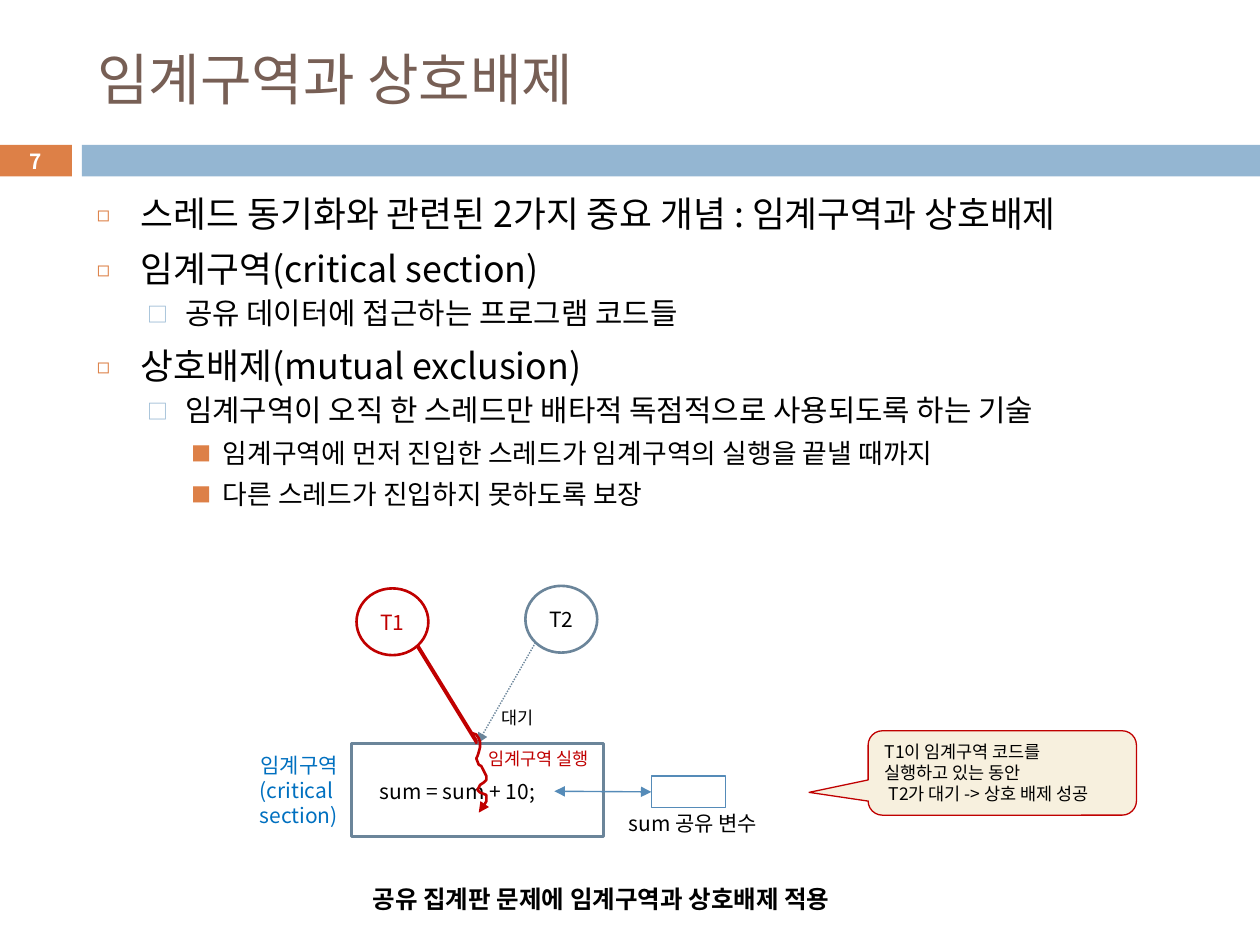
from lxml import etree
from pptx import Presentation
from pptx import util as u
from pptx.dml.color import RGBColor
from pptx.enum import dml, shapes, text
from pptx.oxml.ns import qn

FONT = "Noto Sans CJK KR"
BLACK, WHITE = RGBColor(0, 0, 0), RGBColor(255, 255, 255)
BROWN, ORANGE = RGBColor(0x77, 0x5F, 0x55), RGBColor(0xDD, 0x80, 0x47)
SKY, SLATE = RGBColor(0x94, 0xB6, 0xD2), RGBColor(0x6B, 0x85, 0x9A)
BLUE, LABEL = RGBColor(0x55, 0x8B, 0xB8), RGBColor(0x00, 0x70, 0xC0)
RED, CREAM = RGBColor(0xC0, 0, 0), RGBColor(0xF7, 0xF0, 0xDE)

# Content
TITLE = "임계구역과 상호배제"
BULLETS = [  # level, text
    (0, "스레드 동기화와 관련된 2가지 중요 개념 : 임계구역과 상호배제"),
    (0, "임계구역(critical section)"),
    (1, "공유 데이터에 접근하는 프로그램 코드들"),
    (0, "상호배제(mutual exclusion)"),
    (1, "임계구역이 오직 한 스레드만 배타적 독점적으로 사용되도록 하는 기술"),
    (2, "임계구역에 먼저 진입한 스레드가 임계구역의 실행을 끝낼 때까지"),
    (2, "다른 스레드가 진입하지 못하도록 보장"),
]
LEVELS = [  # size, indent, hanging, space before, line spacing, bullet, colour, percent
    (20.4, 0.35, 0.35, 7, 1.0, "◻", ORANGE, 60),
    (17, 0.7, 0.3, 5.5, 0.9, "□", SKY, 70),
    (15.3, 1.0, 0.25, 5, 1.0, "■", ORANGE, 75),
]
LEFT, CENTER, RIGHT = text.PP_ALIGN.LEFT, text.PP_ALIGN.CENTER, text.PP_ALIGN.RIGHT
LABELS = [  # position, lines, size, colour, alignment, bold
    ((1.9, 5.92, 0.88, 0.71), ["임계구역", "(critical ", "section)"], 12, LABEL, RIGHT, False),
    ((4.89, 6.38, 1.31, 0.3), ["sum 공유 변수"], 12, BLACK, LEFT, False),
    ((3.87, 5.56, 0.48, 0.27), ["대기"], 10, BLACK, CENTER, False),
    ((3.73, 5.89, 1.09, 0.27), ["임계구역 실행"], 10, RED, CENTER, False),
    ((2.86, 6.97, 4.27, 0.34), ["공유 집계판 문제에 임계구역과 상호배제 적용"], 14, BLACK, LEFT, True),
]
THREADS = [  # position, name, outline, text colour
    ((2.83, 4.67, 0.57, 0.53), "T1", RED, RED),
    ((4.17, 4.65, 0.57, 0.53), "T2", SLATE, BLACK),
]
CALLOUT = ["T1이 임계구역 코드를", "실행하고 있는 동안", " T2가 대기 -> 상호 배제 성공"]
SQUIGGLE = [(3.75, 5.82), (3.78, 5.83), (3.8, 5.86), (3.81, 5.89), (3.81, 5.93), (3.8, 5.97),
            (3.79, 6), (3.78, 6.02), (3.8, 6.07), (3.82, 6.08), (3.84, 6.12), (3.86, 6.16),
            (3.86, 6.19), (3.84, 6.21), (3.81, 6.23), (3.79, 6.27), (3.81, 6.29),
            (3.86, 6.31), (3.86, 6.36), (3.83, 6.41), (3.8, 6.45)]


def inches(*values):
    return [u.Inches(v) for v in values]


def style(p, size, color, bold=False):
    for r in p.runs:
        for key, value in {"name": FONT, "size": u.Pt(size), "bold": bold}.items():
            setattr(r.font, key, value)
        r.font.color.rgb = color
        etree.SubElement(r.font._element, qn("a:ea"), typeface=FONT)


def write(tf, lines, size, color, align=LEFT, bold=False):
    for i, line in enumerate(lines):
        p = tf.paragraphs[0] if i == 0 else tf.add_paragraph()
        p.text, p.alignment = line, align
        style(p, size, color, bold)


def paint(sp, fill=None, line=None, width=1.0):
    sp.shadow.inherit = False
    if fill is None:
        sp.fill.background()
    else:
        sp.fill.solid()
        sp.fill.fore_color.rgb = fill
    if line is None:
        sp.line.fill.background()
    else:
        sp.line.color.rgb, sp.line.width = line, u.Pt(width)


def shape(kind, at, **look):
    sp = s.shapes.add_shape(kind, *inches(*at))
    paint(sp, **look)
    return sp


def label(at, lines, *look):
    sp = s.shapes.add_textbox(*inches(*at))
    sp.text_frame.word_wrap = False
    sp.text_frame.auto_size = text.MSO_AUTO_SIZE.SHAPE_TO_FIT_TEXT
    write(sp.text_frame, lines, *look)
    return sp


def arrowheads(sp, *ends):
    ln = sp.line._get_or_add_ln()
    for end in ends:
        etree.SubElement(ln, qn(f"a:{end}"), type="triangle")


def connector(start, end, color, width):
    c = s.shapes.add_connector(shapes.MSO_CONNECTOR.STRAIGHT, *inches(*start, *end))
    c.line.color.rgb, c.line.width = color, u.Pt(width)
    etree.SubElement(c._element.spPr, qn("a:effectLst"))
    return c


def bullet(p, char, color, percent):
    pPr = p._p.get_or_add_pPr()
    clr = etree.SubElement(pPr, qn("a:buClr"))
    etree.SubElement(clr, qn("a:srgbClr"), val=str(color))
    etree.SubElement(pPr, qn("a:buSzPct"), val=str(percent * 1000))
    etree.SubElement(pPr, qn("a:buFont"), typeface=FONT)
    etree.SubElement(pPr, qn("a:buChar"), char=char)
    return pPr


prs = Presentation()
prs.slide_width, prs.slide_height = inches(10, 7.5)
s = prs.slides.add_slide(prs.slide_layouts[5])
KIND = shapes.MSO_SHAPE

# Title and band
title = s.shapes.title
title.left, title.top, title.width, title.height = inches(0.67, 0.25, 8.92, 0.74)
tf = title.text_frame
tf.auto_size, tf.vertical_anchor = text.MSO_AUTO_SIZE.NONE, text.MSO_ANCHOR.MIDDLE
write(tf, [TITLE], 32, BROWN)
number = shape(KIND.RECTANGLE, (-0.01, 1.15, 0.58, 0.25), fill=ORANGE)
write(number.text_frame, ["7"], 11.9, WHITE, CENTER, True)
shape(KIND.RECTANGLE, (0.65, 1.15, 9.35, 0.25), fill=SKY)

# Bullet list
tf = s.shapes.add_textbox(*inches(0.67, 1.47, 8.92, 2.85)).text_frame
tf.word_wrap = True
for i, (level, line) in enumerate(BULLETS):
    size, indent, hang, before, spacing, char, color, percent = LEVELS[level]
    p = tf.paragraphs[0] if i == 0 else tf.add_paragraph()
    p.text, p.level, p.line_spacing = line, level, spacing
    p.space_before = u.Pt(before if i else 0)
    pPr = bullet(p, char, color, percent)
    pPr.set("marL", str(u.Inches(indent)))
    pPr.set("indent", str(-u.Inches(hang)))
    style(p, size, BLACK)

# Critical section, threads and shared variable
section = shape(KIND.RECTANGLE, (2.79, 5.9, 2, 0.74), line=SLATE, width=1.5)
for at, name, outline, color in THREADS:
    tf = shape(KIND.OVAL, at, line=outline, width=1.5).text_frame
    tf.margin_left = tf.margin_right = tf.margin_top = tf.margin_bottom = 0
    write(tf, [name], 12, color, CENTER)
code = label((2.86, 6.13, 1.54, 0.3), ["sum = sum + 10;"], 12, BLACK, CENTER)
variable = shape(KIND.RECTANGLE, (5.17, 6.16, 0.59, 0.25), line=BLUE, width=0.75)

# Arrows
entry = (3.79, 5.9)
running = connector((3.31, 5.12), entry, RED, 2.25)
waiting = connector((4.25, 5.1), entry, SLATE, 0.79)
for c in (running, waiting):
    c.end_connect(section, 0)
waiting.line.dash_style = dml.MSO_LINE.ROUND_DOT
arrowheads(waiting, "tailEnd")
access = connector((4.4, 6.28), (5.17, 6.28), BLUE, 0.79)
access.begin_connect(code, 3)
access.end_connect(variable, 1)
arrowheads(access, "headEnd", "tailEnd")

# Path of the running thread
points = [inches(*pt) for pt in SQUIGGLE]
fb = s.shapes.build_freeform(*points[0])
fb.add_line_segments(points[1:], close=False)
path = fb.convert_to_shape()
paint(path, line=RED, width=1.5)
arrowheads(path, "tailEnd")

# Labels and callout
for item in LABELS:
    label(*item)
note = shape(KIND.ROUNDED_RECTANGULAR_CALLOUT, (6.89, 5.8, 2.13, 0.67), fill=CREAM, line=RED, width=0.75)
for i, value in enumerate((-0.72, 0.23, 0.17)):
    note.adjustments[i] = value
tf = note.text_frame
tf.word_wrap, tf.vertical_anchor = False, text.MSO_ANCHOR.TOP
write(tf, CALLOUT, 10, BLACK)

prs.save("out.pptx")
